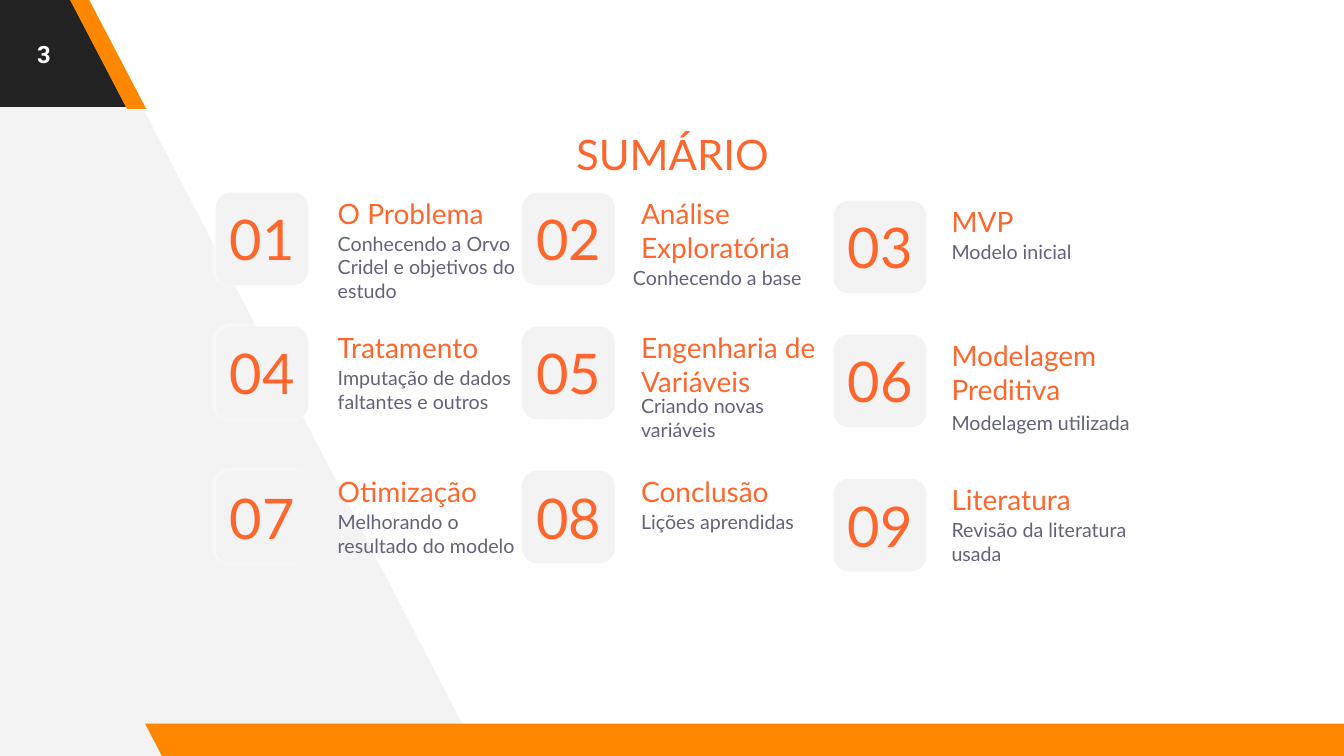
from lxml import etree
from pptx import Presentation
from pptx.dml.color import RGBColor
from pptx.enum.shapes import MSO_SHAPE
from pptx.enum.text import MSO_ANCHOR, PP_ALIGN
from pptx.oxml.ns import qn
from pptx.util import Inches, Pt

CARD, SLANT = MSO_SHAPE.ROUNDED_RECTANGLE, MSO_SHAPE.PARALLELOGRAM
TOP, MIDDLE = MSO_ANCHOR.TOP, MSO_ANCHOR.MIDDLE
LEFT, CENTER = PP_ALIGN.LEFT, PP_ALIGN.CENTER

COLORS = {
    "accent": "FF662E", "band": "FF8700", "dark": "222222",
    "panel": "F3F3F3", "body": "626279", "white": "FFFFFF",
}

COLUMNS = [(16.05, 24.38, 0), (38.85, 46.95, 0), (62.03, 70.05, 1.07)]
ROWS = [25.47, 43.2, 62.27]
TOPICS = [
    ("O Problema", "Conhecendo a Orvo Cridel e objetivos do estudo", 0, 0),
    ("Análise Exploratória", "Conhecendo a base", -0.6, 4.53),
    ("MVP", "Modelo inicial", 0, 0),
    ("Tratamento", "Imputação de dados faltantes e outros", 0, 0),
    ("Engenharia de Variáveis", "Criando novas variáveis", 0, 3.73),
    ("Modelagem Preditiva", "Modelagem utilizada", 0, 4.93),
    ("Otimização", "Melhorando o resultado do modelo", 0, 0),
    ("Conclusão", "Lições aprendidas", 0, 0),
    ("Literatura", "Revisão da literatura usada", 0, 0),
]


class Deck:
    """Draw styled elements on a grid of 100 columns by 100 rows."""

    def __init__(self):
        self.prs = Presentation()
        self.prs.slide_width, self.prs.slide_height = Inches(13.33), Inches(7.5)
        self.s = self.prs.slides.add_slide(self.prs.slide_layouts[6])

    def x(self, columns):
        return round(self.prs.slide_width * columns / 100)

    def y(self, rows):
        return round(self.prs.slide_height * rows / 100)

    def box(self, left, top, width, height):
        return self.x(left), self.y(top), self.x(width), self.y(height)

    def paint(self, sp, color):
        sp.shadow.inherit = False
        sp.fill.solid()
        sp.fill.fore_color.rgb = RGBColor.from_string(COLORS[color])
        sp.line.fill.background()

    def polygon(self, points, color):
        points = [(self.x(x), self.y(y)) for x, y in points]
        builder = self.s.shapes.build_freeform(*points[0], scale=1.0)
        builder.add_line_segments(points[1:], close=True)
        self.paint(builder.convert_to_shape(), color)

    def slant(self, *place, color, adj):
        sp = self.s.shapes.add_shape(SLANT, *self.box(*place))
        sp.adjustments[0] = adj
        sp.element.spPr.find(qn("a:xfrm")).set("flipH", "1")
        self.paint(sp, color)

    def card(self, *place):
        sp = self.s.shapes.add_shape(CARD, *self.box(*place))
        self.paint(sp, "panel")
        effects = sp.element.spPr.find(qn("a:effectLst"))
        glow = etree.SubElement(effects, qn("a:outerShdw"), blurRad=str(Pt(5.6)),
                                dist=str(Pt(1.5)), dir=str(200 * 60000),
                                algn="bl", rotWithShape="0")
        tint = etree.SubElement(glow, qn("a:srgbClr"), val=COLORS["white"])
        etree.SubElement(tint, qn("a:alpha"), val="97000")

    def text(self, text, *place, size, color="accent", font="Lato", bold=False,
             align=LEFT, anchor=TOP, inset=0.75):
        tf = self.s.shapes.add_textbox(*self.box(*place)).text_frame
        tf.word_wrap, tf.vertical_anchor = True, anchor
        tf.margin_left = tf.margin_right = self.x(inset)
        tf.margin_top = tf.margin_bottom = self.x(inset)
        p = tf.paragraphs[0]
        p.alignment = align
        r = p.add_run()
        r.text = text
        r.font.name, r.font.size, r.font.bold = font, Pt(size), bold
        r.font.color.rgb = RGBColor.from_string(COLORS[color])

    def topic(self, index, title, body, shift, drop):
        row, column = divmod(index, len(COLUMNS))
        left, text_left, offset = COLUMNS[column]
        top = ROWS[row] + offset
        self.card(left, top, 6.9, 12.27)
        self.text(f"{index + 1:02}", left, top + 2.67, 6.9, 6.8,
                  size=40, align=CENTER, anchor=MIDDLE)
        self.text(title, text_left, top - 0.8, 15.15, 4.53, size=20)
        self.text(body, text_left + shift, top + 3.87 + drop, 15.15, 11.2,
                  size=14, color="body")


def main():
    deck = Deck()
    deck.polygon([(35.63, 100), (6.23, -0.8), (-0.6, -0.67), (-0.23, 100.67)], "panel")
    deck.slant(-9.9, -0.4, 19.28, 14.53, color="dark", adj=0.52)
    deck.slant(5.18, -0.13, 5.7, 14.53, color="band", adj=0.75)
    deck.slant(10.8, 95.73, 91.5, 4.4, color="band", adj=0.52)
    deck.text("3", 0, 0, 6.53, 14.27, size=17, color="white", font="Roboto",
              bold=True, align=CENTER, anchor=MIDDLE, inset=1)
    deck.text("SUMÁRIO", 18.53, 15.6, 63, 9.2, size=30, align=CENTER)
    for index, topic in enumerate(TOPICS):
        deck.topic(index, *topic)
    deck.prs.save("out.pptx")


if __name__ == "__main__":
    main()
